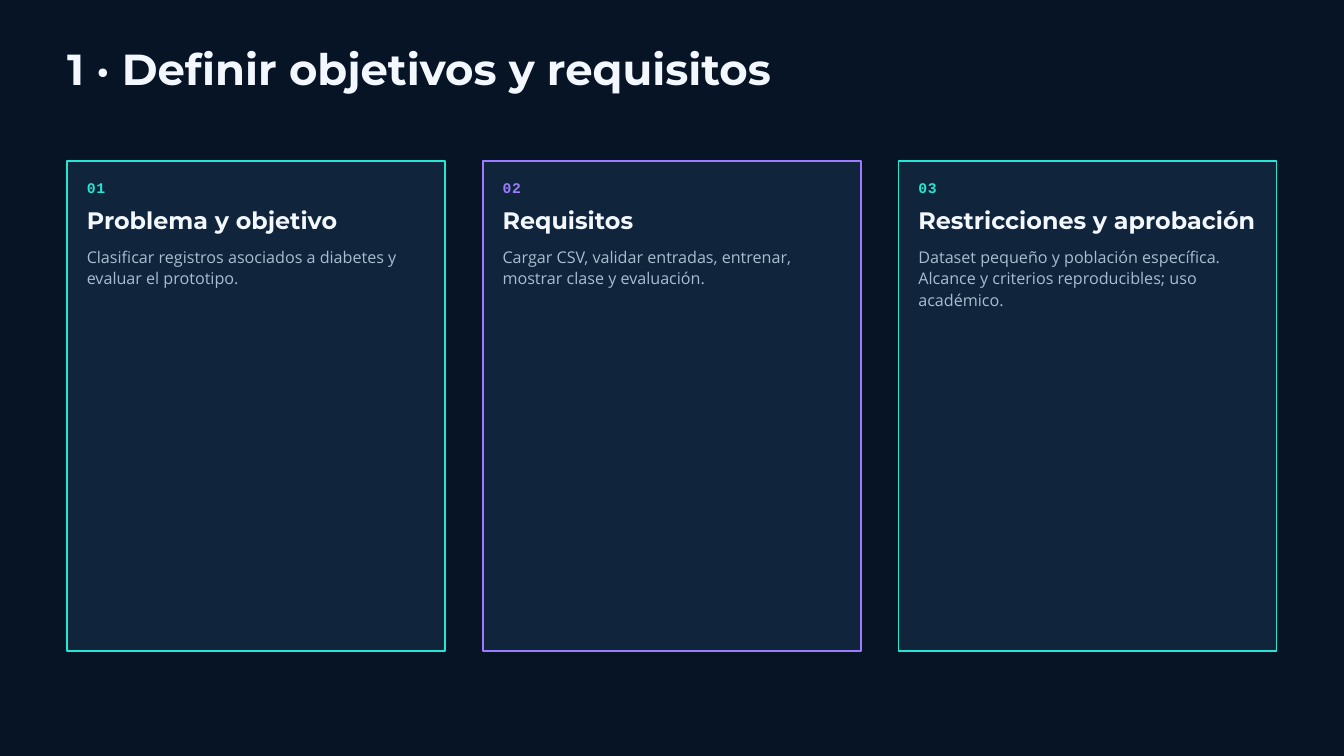
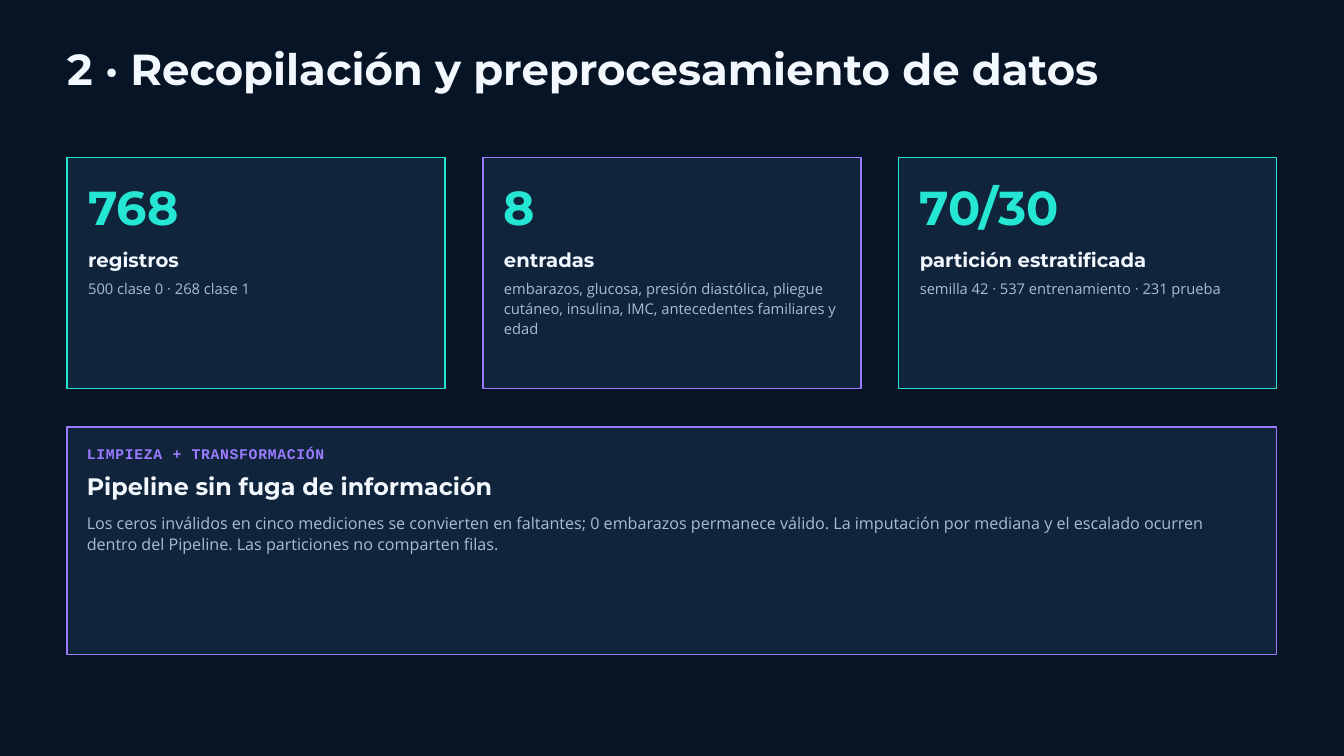
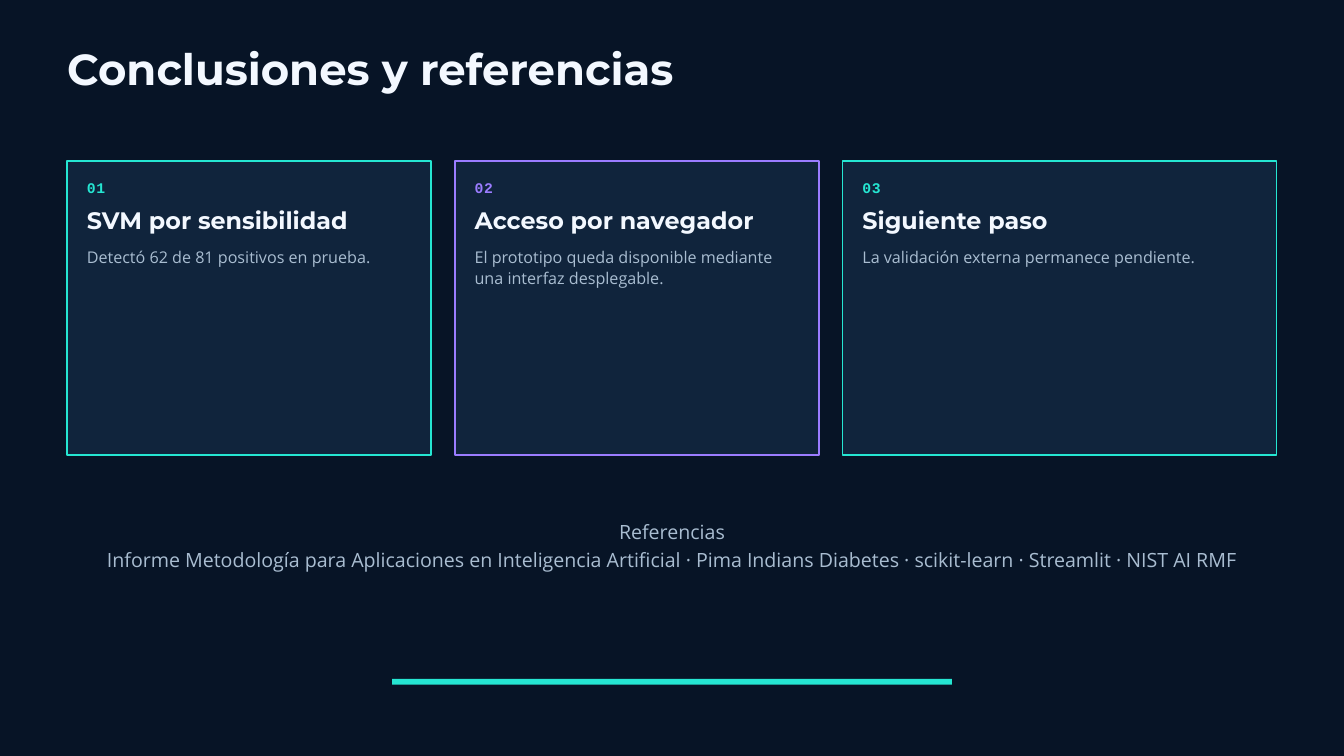
from pptx import Presentation
from pptx.dml.color import RGBColor
from pptx.enum.shapes import MSO_SHAPE
from pptx.enum.text import MSO_AUTO_SIZE, PP_ALIGN
from pptx.util import Pt

RECTANGLE = MSO_SHAPE.RECTANGLE
GROW = MSO_AUTO_SIZE.SHAPE_TO_FIT_TEXT
LEFT_ALIGN, CENTER = PP_ALIGN.LEFT, PP_ALIGN.CENTER

COLORS = {
    "background": "071426",
    "card": "10243C",
    "teal": "25E6D2",
    "violet": "9B7CFF",
    "white": "F3F8FF",
    "muted": "A9BDD1",
}
# style: font, size, bold, line spacing, letter spacing
STYLES = {
    "title": ("Montserrat", 46.5, True, 48.8, 0),
    "tag": ("Courier New", 15.75, True, 22, 0.8),
    "heading": ("Montserrat", 25.5, True, 27.5, 0),
    "body": ("Open Sans", 17.25, False, 23.3, 0),
    "number": ("Montserrat", 51, True, 51, 0),
    "label": ("Montserrat", 21, True, 29.4, 0),
    "note": ("Open Sans", 15.75, False, 21.3, 0),
    "references": ("Open Sans", 21, False, 30.4, 0),
}
MARGIN = 72
CONTENT_WIDTH = 1296
CARD_TOP = 172.5
COLUMN_WIDTH = 405
COLUMN_STEP = 445.5
ACCENTS = ["teal", "violet", "teal"]
TEXT_CARD = {"inset": 21, "rows": [("tag", 16), ("heading", 50.5), ("body", 89.5)]}
STAT_CARD = {"inset": 22.5, "rows": [("number", 32.5), ("label", 93), ("note", 129)]}


def add_text(slide, left, top, width, texts, style, color, lines=1, align=LEFT_ALIGN):
    font_name, size, bold, spacing, tracking = STYLES[style]
    box = slide.shapes.add_textbox(Pt(left), Pt(top), Pt(width), Pt(spacing * lines))
    frame = box.text_frame
    frame.margin_left = frame.margin_right = frame.margin_top = frame.margin_bottom = 0
    frame.word_wrap = True
    frame.auto_size = GROW
    frame.text = "\n".join(texts)
    for paragraph in frame.paragraphs:
        paragraph.alignment = align
        paragraph.line_spacing = Pt(spacing)
        paragraph.font.name = font_name
        paragraph.font.size = Pt(size)
        paragraph.font.bold = bold
        paragraph.font.color.rgb = RGBColor.from_string(COLORS[color])
        if tracking:
            paragraph.runs[0]._r.get_or_add_rPr().set("spc", str(round(tracking * 100)))


def add_card(slide, left, top, width, height, accent, layout, texts, lines=1):
    card = slide.shapes.add_shape(RECTANGLE, Pt(left), Pt(top), Pt(width), Pt(height))
    card.shadow.inherit = False
    card.fill.solid()
    card.fill.fore_color.rgb = RGBColor.from_string(COLORS["card"])
    card.line.color.rgb = RGBColor.from_string(COLORS[accent])
    card.line.width = Pt(1.5)
    inset = layout["inset"]
    text_colors = {"tag": accent, "number": "teal", "heading": "white", "label": "white"}
    for (style, offset), text in zip(layout["rows"], texts):
        add_text(slide, left + inset, top + offset, width - 2 * inset, [text], style,
                 text_colors.get(style, "muted"), lines if style in ("body", "note") else 1)


presentation = Presentation()
presentation.slide_width = Pt(1440)
presentation.slide_height = Pt(810)

slides = []
for title in ["1 · Definir objetivos y requisitos",
              "2 · Recopilación y preprocesamiento de datos",
              "Conclusiones y referencias"]:
    slide = presentation.slides.add_slide(presentation.slide_layouts[6])
    slide.background.fill.solid()
    slide.background.fill.fore_color.rgb = RGBColor.from_string(COLORS["background"])
    add_text(slide, MARGIN, 52.5, CONTENT_WIDTH, [title], "title", "white")
    slides.append(slide)
goals_slide, data_slide, closing_slide = slides

goals = [
    ("Problema y objetivo",
     "Clasificar registros asociados a diabetes y evaluar el prototipo.", 2),
    ("Requisitos",
     "Cargar CSV, validar entradas, entrenar, mostrar clase y evaluación.", 2),
    ("Restricciones y aprobación",
     "Dataset pequeño y población específica. Alcance y criterios reproducibles; "
     "uso académico.", 3),
]
for index, (heading, body, lines) in enumerate(goals):
    add_card(goals_slide, MARGIN + index * COLUMN_STEP, CARD_TOP, COLUMN_WIDTH, 525,
             ACCENTS[index], TEXT_CARD, (f"{index + 1:02}", heading, body), lines)

statistics = [
    ("768", "registros", "500 clase 0 · 268 clase 1", 1),
    ("8", "entradas",
     "embarazos, glucosa, presión diastólica, pliegue cutáneo, insulina, IMC, "
     "antecedentes familiares y edad", 3),
    ("70/30", "partición estratificada", "semilla 42 · 537 entrenamiento · 231 prueba", 1),
]
for index, (number, label, note, lines) in enumerate(statistics):
    add_card(data_slide, MARGIN + index * COLUMN_STEP, 168.5, COLUMN_WIDTH, 247.5,
             ACCENTS[index], STAT_CARD, (number, label, note), lines)
pipeline = (
    "LIMPIEZA + TRANSFORMACIÓN",
    "Pipeline sin fuga de información",
    "Los ceros inválidos en cinco mediciones se convierten en faltantes; 0 embarazos "
    "permanece válido. La imputación por mediana y el escalado ocurren dentro del "
    "Pipeline. Las particiones no comparten filas.",
)
add_card(data_slide, MARGIN, 457.5, CONTENT_WIDTH, 244, "violet", TEXT_CARD, pipeline, 2)

conclusions = [
    (390, "SVM por sensibilidad", "Detectó 62 de 81 positivos en prueba.", 1),
    (390, "Acceso por navegador",
     "El prototipo queda disponible mediante una interfaz desplegable.", 2),
    (465, "Siguiente paso", "La validación externa permanece pendiente.", 1),
]
left = MARGIN
for index, (width, heading, body, lines) in enumerate(conclusions):
    add_card(closing_slide, left, CARD_TOP, width, 315, ACCENTS[index], TEXT_CARD,
             (f"{index + 1:02}", heading, body), lines)
    left += width + 25.5
references = [
    "Referencias",
    "Informe Metodología para Aplicaciones en Inteligencia Artificial · "
    "Pima Indians Diabetes · scikit-learn · Streamlit · NIST AI RMF",
]
add_text(closing_slide, 105, 551.5, 1230, references, "references", "muted", 2, CENTER)
closing_bar = closing_slide.shapes.add_shape(RECTANGLE, Pt(420), Pt(727.5), Pt(600), Pt(6))
closing_bar.shadow.inherit = False
closing_bar.fill.solid()
closing_bar.fill.fore_color.rgb = RGBColor.from_string(COLORS["teal"])
closing_bar.line.fill.background()

presentation.save("out.pptx")
